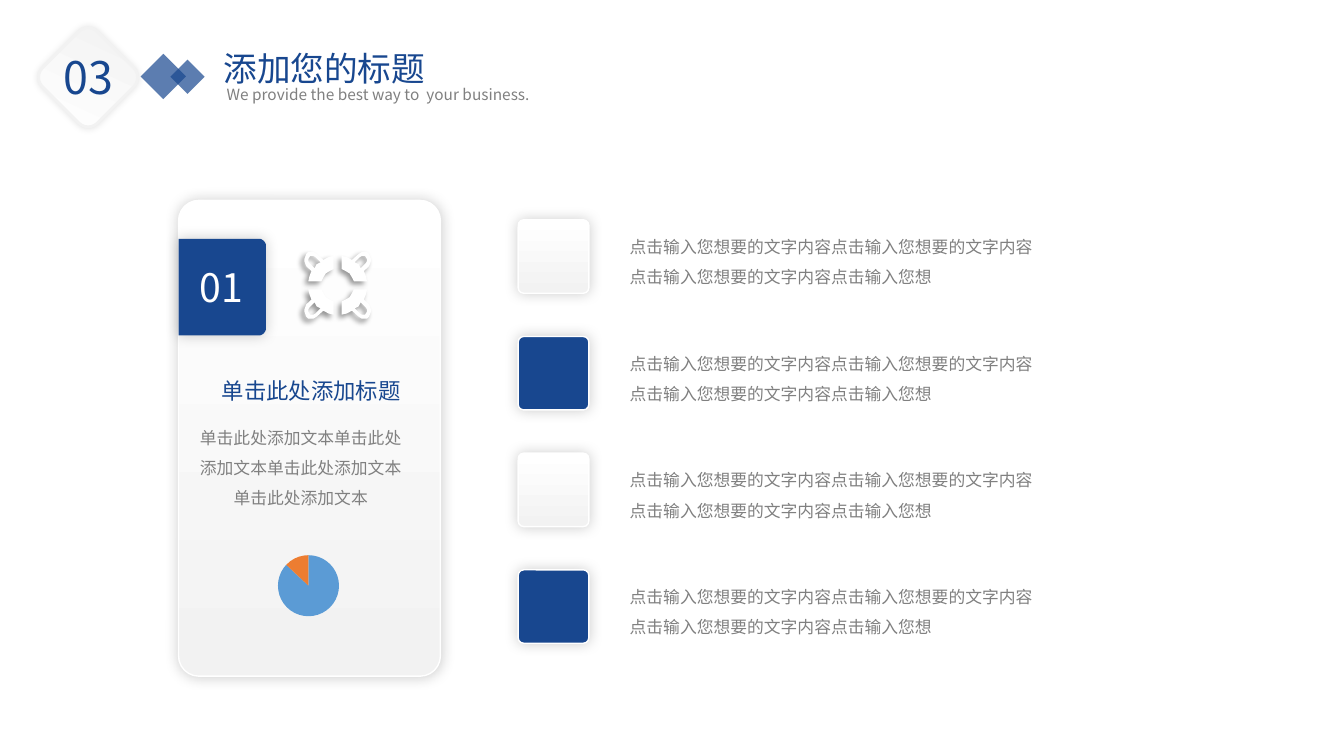
from dataclasses import dataclass
from math import cos, pi, sin
from typing import NamedTuple, Optional

from lxml.etree import SubElement
from pptx import Presentation
from pptx.chart.data import CategoryChartData
from pptx.dml.color import RGBColor
from pptx.enum.chart import XL_CHART_TYPE as ChartType
from pptx.enum.shapes import MSO_SHAPE as Preset
from pptx.enum.text import MSO_ANCHOR as Anchor
from pptx.enum.text import MSO_AUTO_SIZE as AutoSize
from pptx.enum.text import PP_ALIGN as Align
from pptx.oxml.ns import qn
from pptx.util import Cm, Pt

COLORS = {
    "blue": "18478F", "white": "FFFFFF", "pale": "F2F2F2", "gray": "808080",
    "black": "000000", "sky": "5B9BD5", "orange": "ED7D31",
}
FONT = "Noto Sans CJK SC"
ROW_TOP, ROW_PITCH = 5.54, 2.94


class Box(NamedTuple):
    left: float
    top: float
    width: float
    height: float

    def lengths(self) -> list:
        return [Cm(value) for value in self]


class Shadow(NamedTuple):
    alpha: int
    blur: float
    distance: float
    direction: int


SOFT = Shadow(20, 10, 0, 135)


@dataclass
class Panel:
    box: Box
    fill: Optional[str] = None
    gradient_angle: float = 270
    line: Optional[str] = "white"
    line_width: float = 1
    preset: Preset = Preset.ROUNDED_RECTANGLE
    corner: Optional[float] = 0.078
    rotation: float = 0
    alpha: Optional[int] = None
    shadow: Optional[Shadow] = SOFT


@dataclass
class Label:
    box: Box
    lines: list
    size: float
    color: str = "gray"
    align: Align = Align.LEFT
    spacing: float = 1
    wrap: bool = True


def rgb(name: str) -> RGBColor:
    return RGBColor.from_string(COLORS[name])


def set_shadow(shape, shadow: Optional[Shadow]) -> None:
    shape.shadow.inherit = False
    if shadow is None:
        return
    effects = shape._element.spPr.find(qn("a:effectLst"))
    outer = SubElement(effects, qn("a:outerShdw"), {
        "blurRad": str(Pt(shadow.blur)), "dist": str(Pt(shadow.distance)),
        "dir": str(shadow.direction * 60000), "algn": "ctr", "rotWithShape": "0",
    })
    color = SubElement(outer, qn("a:srgbClr"), val=COLORS["black"])
    SubElement(color, qn("a:alpha"), val=str(shadow.alpha * 1000))


def draw_panel(slide, panel: Panel) -> None:
    shape = slide.shapes.add_shape(panel.preset, *panel.box.lengths())
    shape.rotation = panel.rotation
    if panel.corner is not None:
        shape.adjustments[0] = panel.corner
    if panel.fill:
        shape.fill.solid()
        shape.fill.fore_color.rgb = rgb(panel.fill)
    else:
        shape.fill.gradient()
        shape.fill.gradient_angle = panel.gradient_angle
        for stop, name in zip(shape.fill.gradient_stops, ("white", "pale")):
            stop.color.rgb = rgb(name)
    if panel.alpha is not None:
        color = shape._element.spPr.find(qn("a:solidFill"))[0]
        SubElement(color, qn("a:alpha"), val=str(panel.alpha * 1000))
    if panel.line:
        shape.line.color.rgb = rgb(panel.line)
        shape.line.width = Pt(panel.line_width)
    else:
        shape.line.fill.background()
    set_shadow(shape, panel.shadow)


def draw_outline(slide, contours: list, left: float, top: float, fill: str, shadow: Shadow) -> None:
    builder = slide.shapes.build_freeform(*contours[0][0], scale=Cm(0.01))
    for index, contour in enumerate(contours):
        if index:
            builder.move_to(*contour[0])
        builder.add_line_segments(contour[1:], close=True)
    shape = builder.convert_to_shape(Cm(left), Cm(top))
    shape.fill.solid()
    shape.fill.fore_color.rgb = rgb(fill)
    shape.line.fill.background()
    set_shadow(shape, shadow)


def write_label(shape, label: Label) -> None:
    frame = shape.text_frame
    frame_format = {
        "word_wrap": label.wrap, "auto_size": AutoSize.SHAPE_TO_FIT_TEXT,
        "vertical_anchor": Anchor.TOP,
    }
    for name, value in frame_format.items():
        setattr(frame, name, value)
    for index, line in enumerate(label.lines):
        paragraph = frame.add_paragraph() if index else frame.paragraphs[0]
        paragraph.alignment = label.align
        paragraph.line_spacing = label.spacing
        run = paragraph.add_run()
        run.text = line
        for name, value in {"name": FONT, "size": Pt(label.size), "bold": False}.items():
            setattr(run.font, name, value)
        run.font.color.rgb = rgb(label.color)
        SubElement(run._r.get_or_add_rPr(), qn("a:ea"), typeface=FONT)


def draw_label(slide, label: Label) -> None:
    write_label(slide.shapes.add_textbox(*label.box.lengths()), label)


def draw_title(slide, label: Label) -> None:
    title = slide.shapes.title
    for name, value in zip(("left", "top", "width", "height"), label.box.lengths()):
        setattr(title, name, value)
    write_label(title, label)


def badge_outline(width: int, height: int, radius: int) -> list:
    angles = [step * pi / 16 for step in range(9)]
    right, bottom = width - radius, height - radius
    upper = [(right + radius * sin(a), radius - radius * cos(a)) for a in angles]
    lower = [(right + radius * cos(a), bottom + radius * sin(a)) for a in angles]
    return [[(0, 0), *upper, *lower, (0, height)]]


def lifebuoy_outline() -> list:
    loop = [(58, 43), (53, 53), (43, 58), (56, 71), (61, 74), (64, 74),
            (69, 74), (71, 71), (74, 66), (74, 61), (71, 56)]
    quarter = [(41, 10), (74, 10), (71, 23), (66, 36), (79, 48), (81, 53), (84, 61),
               (84, 66), (81, 74), (79, 79), (74, 84), (66, 84), (61, 84), (53, 79),
               (36, 64), (23, 71), (10, 74), (10, 41), (20, 36), (30, 30), (36, 20)]
    return [[(x * side, y * level) for x, y in contour]
            for side in (-1, 1) for level in (-1, 1) for contour in (quarter, loop)]


def draw_pie(slide, box: Box) -> None:
    data = CategoryChartData()
    data.categories = ["1", "2"]
    data.add_series("Series 1", (87, 13))
    chart = slide.shapes.add_chart(ChartType.PIE, *box.lengths(), data).chart
    for name, value in {"has_legend": False, "has_title": False}.items():
        setattr(chart, name, value)
    for name, value in {"name": "Arial", "size": Pt(18)}.items():
        setattr(chart.font, name, value)
    chart.font.color.rgb = rgb("black")
    plot = chart.plots[0]
    plot.vary_by_categories = True
    for index, name in enumerate(("sky", "orange")):
        fill = plot.series[0].points[index].format.fill
        fill.solid()
        fill.fore_color.rgb = rgb(name)


def draw_header(slide) -> None:
    for box in (Box(3.71, 1.52, 0.81, 0.81), Box(4.42, 1.63, 0.61, 0.61)):
        draw_panel(slide, Panel(box, "blue", line=None, preset=Preset.RECTANGLE,
                                corner=None, rotation=225, alpha=70, shadow=None))
    draw_label(slide, Label(Box(5.46, 2.01, 10.21, 0.74),
                            ["We provide the best way to  your business."], 11))
    draw_title(slide, Label(Box(5.38, 1.09, 8.26, 1.27), ["添加您的标题"], 24, "blue"))
    draw_panel(slide, Panel(Box(1.24, 0.97, 1.96, 1.96), gradient_angle=110, line="pale",
                            line_width=2, corner=0.17, rotation=45,
                            shadow=Shadow(11, 5, 0, 0)))
    draw_label(slide, Label(Box(1.35, 1.12, 1.85, 1.63), ["03"], 32, "blue", wrap=False))


def draw_card(slide) -> None:
    draw_panel(slide, Panel(Box(4.5, 5.05, 6.6, 11.99)))
    draw_outline(slide, badge_outline(220, 243, 18), 4.5, 6.02, "blue", SOFT)
    for label in (
        Label(Box(4.75, 6.5, 1.65, 2.64), ["01"], 28, "white", Align.CENTER),
        Label(Box(4.62, 9.37, 6.45, 0.94), ["单击此处添加标题"], 16, "blue", Align.CENTER),
        Label(Box(4.67, 10.39, 5.82, 2.57), ["单击此处添加文本" * 4], 12,
              align=Align.CENTER, spacing=1.5),
    ):
        draw_label(slide, label)
    draw_pie(slide, Box(6.1, 13.64, 3.35, 2.24))
    draw_outline(slide, lifebuoy_outline(), 8.51, 7.19, "white", Shadow(40, 4, 3, 135))


def draw_rows(slide) -> None:
    phrase = "点击输入您想要的文字内容"
    for index, fill in enumerate((None, "blue") * 2):
        top = ROW_TOP + index * ROW_PITCH
        draw_panel(slide, Panel(Box(13.06, top, 1.78, 1.85), fill))
        draw_label(slide, Label(Box(15.62, top + 0.05, 16.92, 1.8),
                                [phrase * 2, phrase + "点击输入您想"], 12, spacing=1.5))


def main() -> None:
    presentation = Presentation()
    presentation.slide_width, presentation.slide_height = Cm(33.87), Cm(19.05)
    slide = presentation.slides.add_slide(presentation.slide_layouts[5])
    draw_card(slide)
    draw_rows(slide)
    draw_header(slide)
    presentation.save("out.pptx")


if __name__ == "__main__":
    main()
